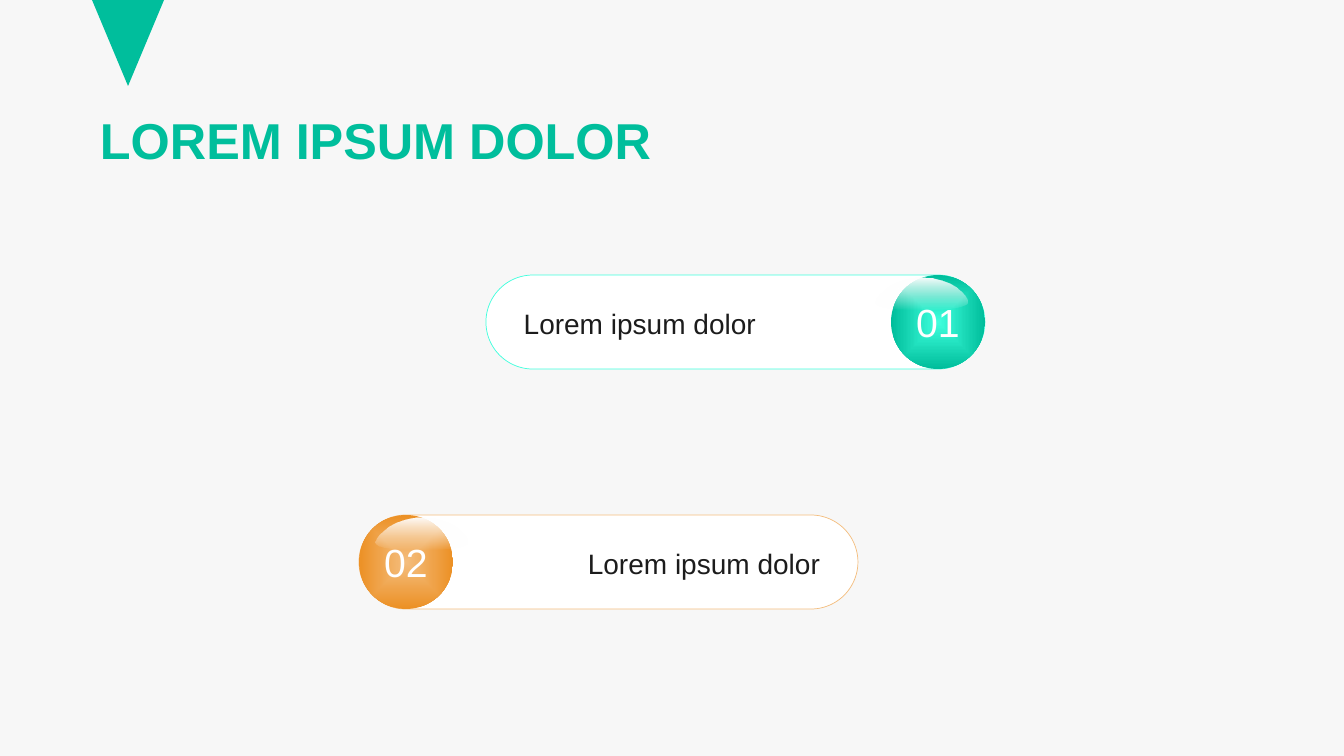
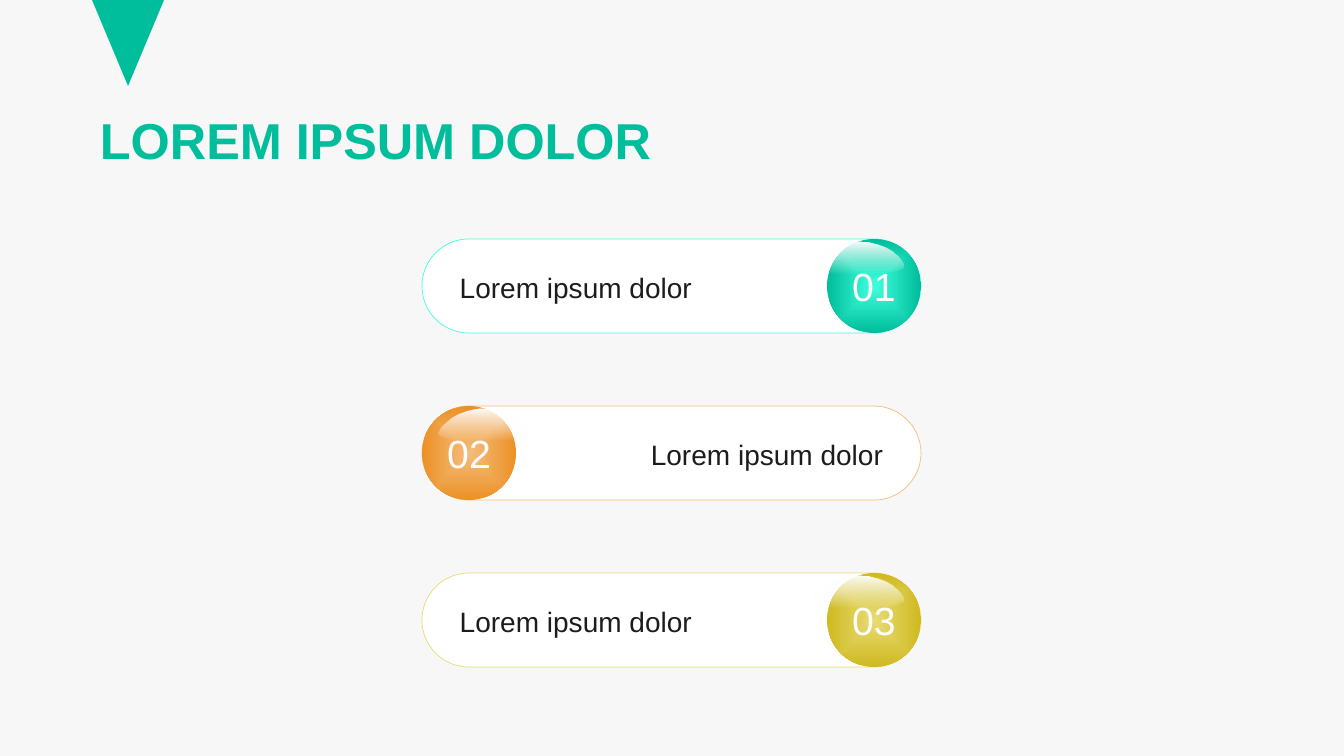
"""Build two slides of numbered pill lists with glossy spheres."""
from pptx import Presentation
from pptx import util as u
from pptx.dml.color import RGBColor
from pptx.enum import shapes, text
from pptx.oxml import parse_xml
from pptx.oxml.ns import nsdecls, qn

WIDTH, HEIGHT = 1344, 756
SCALE = 12192000 / WIDTH
FONT = "Arial"
GREEN, WHITE, INK, PAPER = "00BE9C", "FFFFFF", "1C1C1C", "F7F7F7"
SPHERES = [("3FFFDD", GREEN), ("F4BD7D", "EC9126"), ("E9DB73", "CFBA21")]

SLIDES = [
    {"title": "LOREM IPSUM DOLOR", "top": 275, "pitch": 240, "lefts": [486, 359],
     "items": ["Lorem ipsum dolor"] * 2},
    {"title": "LOREM IPSUM DOLOR", "top": 239, "pitch": 167, "lefts": [422] * 3,
     "items": ["Lorem ipsum dolor"] * 3},
]

TITLE_BOX = (93, 96, 1159, 95)
MARKER_BOX = (92, 0, 72, 86)
PILL_W, PILL_H = 499, 94
INSET_OUTER, INSET_INNER = 24, 30
GLOSS_START = (45, 32)
GLOSS_CURVES = [
    (24, 32), (0, 31), (0, 24),
    (1, 17), (20, 0), (47, 0),
    (76, 0), (92, 18), (92, 24),
    (92, 30), (66, 32), (45, 32),
]
GLOSS_DX = {"right": -15, "left": 17}
GLOSS_DY = 3


def px(n):
    return u.Emu(round(n * SCALE))


def rgb(value):
    return RGBColor.from_string(value)


def place(sp, left, top, width, height):
    sp.left, sp.top, sp.width, sp.height = map(px, (left, top, width, height))


def write(sp, words, size, color, bold=False, align=text.PP_ALIGN.LEFT,
          spacing=1.0, insets=(0, 0, 0, 0)):
    tf = sp.text_frame
    tf.word_wrap = True
    tf.auto_size = text.MSO_AUTO_SIZE.NONE
    tf.vertical_anchor = text.MSO_ANCHOR.MIDDLE
    tf.margin_left, tf.margin_top, tf.margin_right, tf.margin_bottom = map(px, insets)
    p = tf.paragraphs[0]
    p.alignment, p.line_spacing = align, spacing
    r = p.add_run()
    r.text = words
    r.font.name, r.font.size, r.font.bold = FONT, u.Pt(size), bold
    r.font.color.rgb = rgb(color)


def add_shape(parent, kind, box, fill=None, line=None):
    sp = parent.add_shape(kind, *map(px, box))
    sp.shadow.inherit = False
    if fill:
        sp.fill.solid()
        sp.fill.fore_color.rgb = rgb(fill)
    if line:
        sp.line.color.rgb = rgb(line)
        sp.line.width = u.Pt(0.5)
    else:
        sp.line.fill.background()
    return sp


def shade(sp, start, end, end_position=1.0):
    sp.fill.gradient()
    first, last = sp.fill.gradient_stops
    first.color.rgb, first.position = rgb(start), 0
    last.color.rgb, last.position = rgb(end), end_position
    return sp.element.spPr.find(qn("a:gradFill"))


def add_sphere(parent, left, top, number, colors):
    sp = add_shape(parent, shapes.MSO_SHAPE.OVAL, (left, top, PILL_H, PILL_H))
    grad = shade(sp, *colors, end_position=0.99)
    grad.replace(grad.find(qn("a:lin")), parse_xml(
        f'<a:path {nsdecls("a")} path="shape">'
        '<a:fillToRect l="50000" t="50000" r="50000" b="50000"/></a:path>'))
    write(sp, f"{number:02d}", 28, WHITE, align=text.PP_ALIGN.CENTER)


def add_gloss(parent, left, top):
    builder = parent.build_freeform(*GLOSS_START, scale=SCALE)
    builder.add_line_segments(GLOSS_CURVES, close=True)
    sp = builder.convert_to_shape(px(left), px(top))
    sp.shadow.inherit = False
    sp.line.fill.background()
    outline = next(sp.element.iter(qn("a:path")))
    lines = outline.findall(qn("a:lnTo"))
    for i in range(0, len(lines), 3):
        curve = parse_xml(f'<a:cubicBezTo {nsdecls("a")}/>')
        lines[i].addprevious(curve)
        for line in lines[i:i + 3]:
            curve.append(line[0])
            outline.remove(line)
    grad = shade(sp, WHITE, WHITE)
    sp.fill.gradient_angle = 270
    clear = grad.findall(".//" + qn("a:srgbClr"))[-1]
    clear.append(parse_xml(f'<a:alpha {nsdecls("a")} val="0"/>'))


def add_item(s, index, words, left, top):
    group = s.shapes.add_group_shape().shapes
    colors = SPHERES[index]
    side = "left" if index % 2 else "right"
    pill = add_shape(group, shapes.MSO_SHAPE.ROUNDED_RECTANGLE,
                     (left, top, PILL_W, PILL_H), WHITE, colors[0])
    pill.adjustments[0] = 0.5
    if side == "right":
        align, insets = text.PP_ALIGN.LEFT, (INSET_OUTER, 5, INSET_INNER, 5)
        sphere_left = left + PILL_W - PILL_H
    else:
        align, insets = text.PP_ALIGN.RIGHT, (INSET_INNER, 5, INSET_OUTER, 5)
        sphere_left = left
    write(pill, words, 20, INK, align=align, spacing=1.1, insets=insets)
    add_sphere(group, sphere_left, top, index + 1, colors)
    add_gloss(group, sphere_left + GLOSS_DX[side], top + GLOSS_DY)


def set_theme(prs, layout, s):
    fill = prs.slide_master.background.fill
    fill.solid()
    fill.fore_color.rgb = rgb(PAPER)
    marker = add_shape(s.shapes, shapes.MSO_SHAPE.ISOSCELES_TRIANGLE, MARKER_BOX, GREEN)
    marker.rotation = 180
    layout.shapes.element.insert(2, marker.element)


def main():
    prs = Presentation()
    prs.slide_width, prs.slide_height = px(WIDTH), px(HEIGHT)
    layout = prs.slide_layouts[5]
    for number, data in enumerate(SLIDES):
        s = prs.slides.add_slide(layout)
        if number == 0:
            set_theme(prs, layout, s)
        title = s.shapes.title
        place(title, *TITLE_BOX)
        write(title, data["title"], 36, GREEN, bold=True, spacing=0.9,
              insets=(7, 4, 7, 4))
        for i, (words, left) in enumerate(zip(data["items"], data["lefts"])):
            add_item(s, i, words, left, data["top"] + i * data["pitch"])
    prs.save("out.pptx")


if __name__ == "__main__":
    main()
